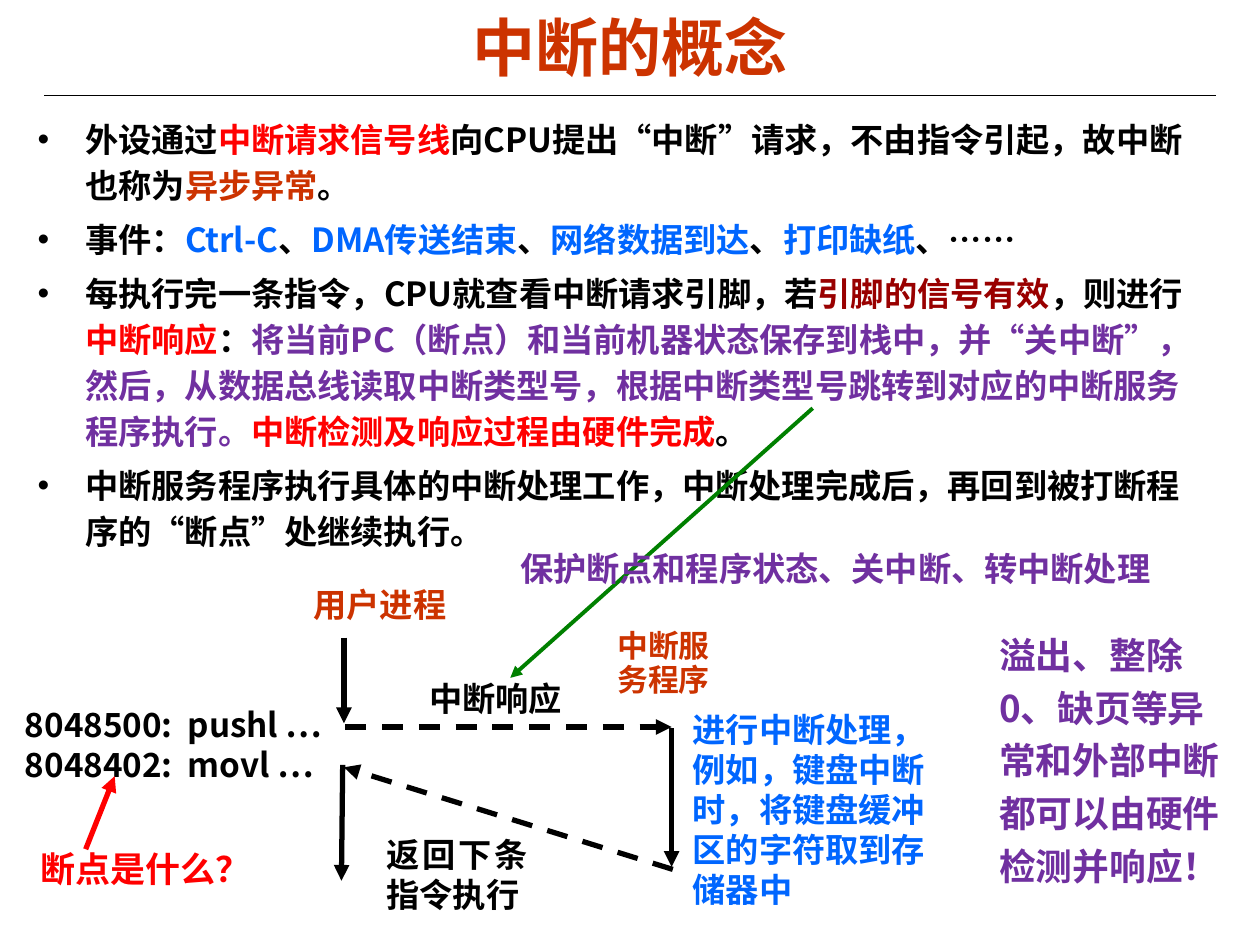
from lxml.etree import SubElement
from pptx import Presentation
from pptx.dml.color import RGBColor
from pptx.enum.dml import MSO_LINE
from pptx.enum.shapes import MSO_CONNECTOR
from pptx.enum.text import MSO_ANCHOR, PP_ALIGN
from pptx.oxml.ns import qn
from pptx.util import Inches, Pt

CJK = "Noto Sans CJK SC"
BLACK, RED, RUST, MAROON = "000000", "FF0000", "CC3300", "990000"
BLUE, PURPLE, GREEN = "0066FF", "7030A0", "008000"

BULLETS = [
    [("外设通过", BLACK), ("中断请求信号线", RED),
     ("向CPU提出“中断”请求，不由指令引起，故中断也称为", BLACK),
     ("异步异常", RUST), ("。", BLACK)],
    [("事件：", BLACK), ("Ctrl-C", BLUE), ("、", BLACK), ("DMA传送结束", BLUE),
     ("、", BLACK), ("网络数据到达", BLUE), ("、", BLACK), ("打印缺纸", BLUE),
     ("、……", BLACK)],
    [("每执行完一条指令，CPU就查看中断请求引脚，若", BLACK),
     ("引脚的信号有效", MAROON), ("，则进行", BLACK), ("中断响应", RED),
     ("：", BLACK),
     ("将当前PC（断点）和当前机器状态保存到栈中，并“关中断”，然后，"
      "从数据总线读取中断类型号，根据中断类型号跳转到对应的中断服务程序执行。", PURPLE),
     ("中断检测及响应过程由硬件完成", RED), ("。", BLACK)],
    [("中断服务程序执行具体的中断处理工作，中断处理完成后，"
      "再回到被打断程序的“断点”处继续执行。", BLACK)],
]


def rgb(color):
    return RGBColor.from_string(color)


def style(paragraph, size, color, font=CJK):
    paragraph.font.size = Pt(size)
    paragraph.font.bold = True
    paragraph.font.name = font
    paragraph.font.color.rgb = rgb(color)
    east_asian = SubElement(paragraph.font._element, qn("a:ea"))
    east_asian.set("typeface", CJK)


def add_frame(slide, left, top, width, height, inset=(0.1, 0.05)):
    box = slide.shapes.add_textbox(
        Inches(left), Inches(top), Inches(width), Inches(height))
    frame = box.text_frame
    frame.word_wrap = True
    frame.margin_left = frame.margin_right = Inches(inset[0])
    frame.margin_top = frame.margin_bottom = Inches(inset[1])
    return frame


def add_label(slide, area, lines, color, size=19, font=CJK,
              align=PP_ALIGN.LEFT, spacing=None, inset=(0.1, 0.05)):
    frame = add_frame(slide, *area, inset)
    for index, line in enumerate(lines):
        paragraph = frame.add_paragraph() if index else frame.paragraphs[0]
        paragraph.text = line
        paragraph.alignment = align
        paragraph.line_spacing = spacing
        style(paragraph, size, color, font)


def add_bullets(slide):
    frame = add_frame(slide, 0.2, 0.85, 9.49, 3.68)
    for index, parts in enumerate(BULLETS):
        paragraph = frame.add_paragraph() if index else frame.paragraphs[0]
        paragraph.line_spacing = 1.15
        if index:
            paragraph.space_before = Pt(4.8)
        properties = paragraph._p.get_or_add_pPr()
        properties.set("marL", str(Inches(0.38)))
        properties.set("indent", str(-Inches(0.38)))
        bullet_color = SubElement(properties, qn("a:buClr"))
        SubElement(bullet_color, qn("a:srgbClr")).set("val", BLACK)
        SubElement(properties, qn("a:buFont")).set("typeface", "Arial")
        SubElement(properties, qn("a:buChar")).set("char", "•")
        style(paragraph, 19, BLACK)
        for words, color in parts:
            run = paragraph.add_run()
            run.text = words
            if color != BLACK:
                run.font.color.rgb = rgb(color)


def add_line(slide, start, end, color=BLACK, width=3, dashed=False, arrow=True):
    line = slide.shapes.add_connector(
        MSO_CONNECTOR.STRAIGHT, *map(Inches, start + end))
    line.line.color.rgb = rgb(color)
    line.line.width = Pt(width)
    if dashed:
        line.line.dash_style = MSO_LINE.DASH
    if arrow:
        SubElement(line.line._get_or_add_ln(), qn("a:tailEnd")).set("type", "triangle")
    SubElement(line._element.spPr, qn("a:effectLst"))


def add_title(slide):
    title = slide.shapes.title
    title.left, title.top = Inches(0.5), Inches(0.06)
    title.width, title.height = Inches(9), Inches(0.61)
    title.text_frame.text = "中断的概念"
    title.text_frame.vertical_anchor = MSO_ANCHOR.MIDDLE
    heading = title.text_frame.paragraphs[0]
    heading.alignment = PP_ALIGN.CENTER
    style(heading, 36, RUST, "Arial")
    add_line(slide, (0.35, 0.76), (9.65, 0.76), width=0.75, arrow=False)


def add_flow(slide):
    justify = PP_ALIGN.JUSTIFY
    add_label(slide, (2.39, 4.64, 1.41, 0.23), ["用户进程"], RUST,
              align=justify, inset=(0.1, 0))
    add_label(slide, (4.8, 4.96, 1.08, 0.72), ["中断服务程序"], RUST,
              size=17.6, spacing=0.9)
    add_line(slide, (2.74, 5.77), (5.33, 5.77), dashed=True)
    add_line(slide, (5.33, 5.78), (5.33, 6.88))
    add_line(slide, (5.34, 6.9), (2.73, 6.09), dashed=True)
    add_line(slide, (2.72, 6.07), (2.71, 6.99))
    add_label(slide, (3.31, 5.33, 1.35, 0.41), ["中断响应"], BLACK, align=justify)
    add_label(slide, (5.4, 5.58, 2.24, 1.68),
              ["进行中断处理，例如，键盘中断时，将键盘缓冲区的字符取到存储器中"], BLUE)
    add_label(slide, (2.97, 6.57, 1.32, 0.73), ["返回下条指令执行"], BLACK,
              align=justify)
    add_label(slide, (0.1, 5.54, 2.9, 0.74),
              ["8048500:  pushl …", "8048402:  movl …"], BLACK, align=justify)
    add_line(slide, (2.73, 5.06), (2.73, 5.74))


def add_remarks(slide):
    add_label(slide, (0.22, 6.68, 2.08, 0.44), ["断点是什么？"], RED,
              size=20, font="Arial")
    add_line(slide, (0.68, 6.74), (0.91, 6.16), RED)
    add_line(slide, (6.45, 3.24), (4.05, 5.38), GREEN, width=2.25)
    add_label(slide, (4.03, 4.3, 5.27, 0.42),
              ["保护断点和程序状态、关中断、转中断处理"], PURPLE, font="Arial")


def main():
    deck = Presentation()
    deck.slide_width, deck.slide_height = Inches(10), Inches(7.5)
    slide = deck.slides.add_slide(deck.slide_layouts[5])
    add_title(slide)
    add_bullets(slide)
    add_label(slide, (7.93, 4.95, 1.77, 2.1),
              ["溢出、整除0、缺页等异常和外部中断都可以由硬件检测并响应！"],
              PURPLE, size=21, spacing=1.2, inset=(0, 0))
    add_flow(slide)
    add_remarks(slide)
    deck.save("out.pptx")


if __name__ == "__main__":
    main()
